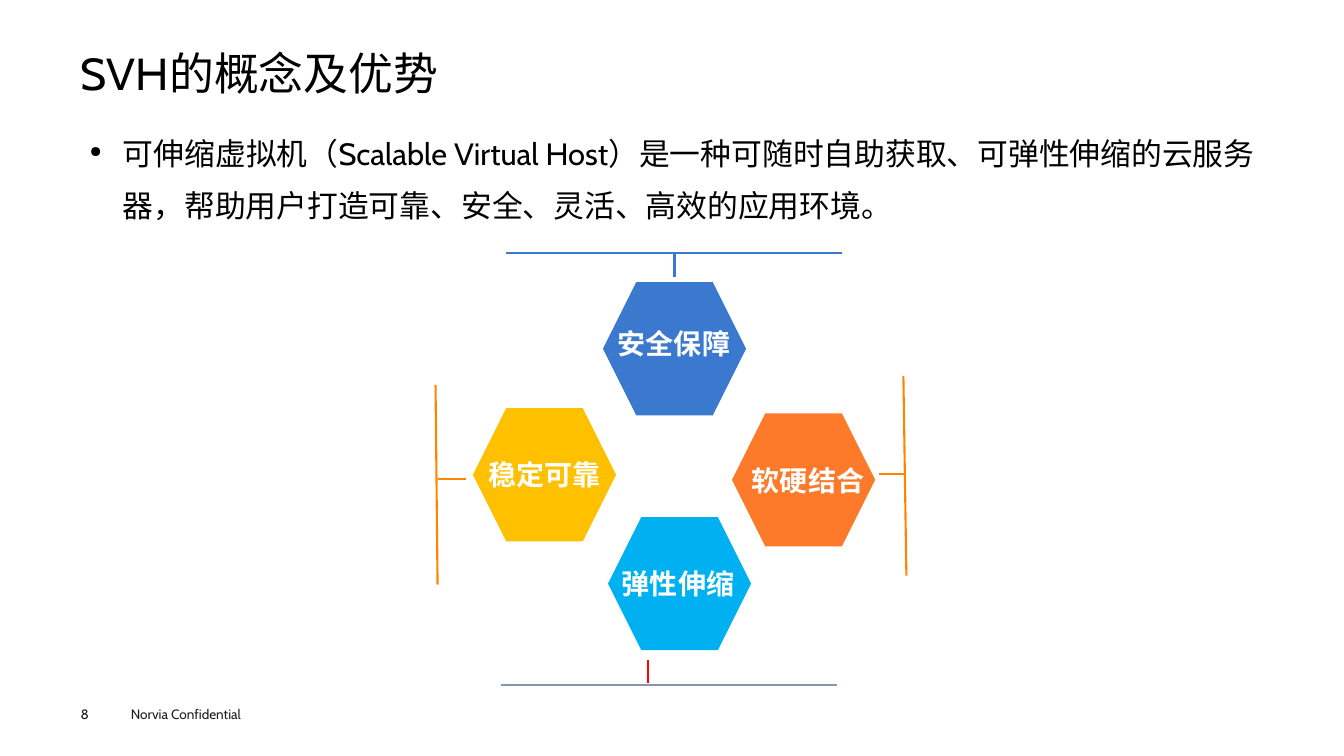
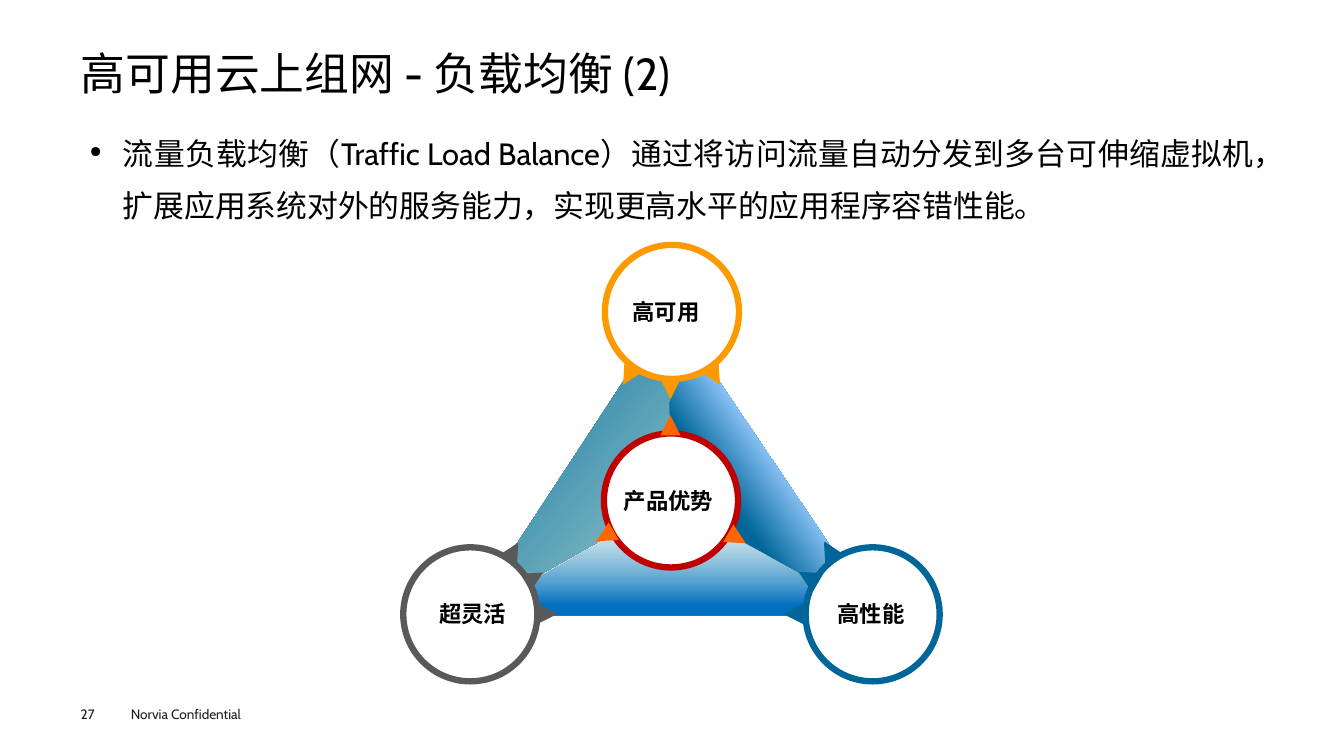
from lxml import etree
from pptx import Presentation
from pptx import util as u
from pptx.dml import color
from pptx.enum import shapes, text
from pptx.oxml import ns

PX = 9144  # 100 px to the inch
FONT = "Cabin"
BLACK, WHITE, INK = "000000", "FFFFFF", "1D1D1B"
BLUE, ORANGE, AMBER, GREY, TEAL = "3C78CE", "FF8500", "FF9900", "595959", "006699"
LEFT, MIDDLE = text.PP_ALIGN.LEFT, text.MSO_ANCHOR.MIDDLE
AUTO = shapes.MSO_SHAPE

deck = Presentation()
deck.slide_width, deck.slide_height = 1333 * PX, 750 * PX


def rgb(code):
    return color.RGBColor.from_string(code)


def write(box, string, size, ink=BLACK, bold=False, align=LEFT, anchor=text.MSO_ANCHOR.TOP,
          insets=(10, 5), spacing=None, bullet=False):
    """Fill a box with one formatted paragraph; insets are horizontal and vertical px."""
    frame = box.text_frame
    frame.word_wrap = True
    frame.auto_size = text.MSO_AUTO_SIZE.NONE
    frame.vertical_anchor = anchor
    frame.margin_left = frame.margin_right = insets[0] * PX
    frame.margin_top = frame.margin_bottom = insets[1] * PX
    para = frame.paragraphs[0]
    para.alignment = align
    if spacing:
        para.line_spacing = spacing
    if bullet:
        props = para._p.get_or_add_pPr()
        props.set("marL", str(33 * PX))
        props.set("indent", str(-33 * PX))
        etree.SubElement(props, ns.qn("a:buSzPct")).set("val", "50000")
        etree.SubElement(props, ns.qn("a:buChar")).set("char", "●")
    span = para.add_run()
    span.text = string
    span.font.name, span.font.size, span.font.bold = FONT, u.Pt(size), bold
    span.font.color.rgb = rgb(ink)


def paint(shape, fill=None, line=None, width=1):
    shape.shadow.inherit = False
    if fill:
        shape.fill.solid()
        shape.fill.fore_color.rgb = rgb(fill)
    if line:
        shape.line.color.rgb = rgb(line)
        shape.line.width = u.Pt(width)
    else:
        shape.line.fill.background()


# Frame shared by both slides
pages = []
for number, title, body in [
    ("8", "SVH的概念及优势",
     "可伸缩虚拟机（Scalable Virtual Host）是一种可随时自助获取、可弹性伸缩的云服务器，"
     "帮助用户打造可靠、安全、灵活、高效的应用环境。"),
    ("27", "高可用云上组网 - 负载均衡 (2)",
     "流量负载均衡（Traffic Load Balance）通过将访问流量自动分发到多台可伸缩虚拟机，"
     "扩展应用系统对外的服务能力，实现更高水平的应用程序容错性能。"),
]:
    page = deck.slides.add_slide(deck.slide_layouts[5])
    pages.append(page)
    heading = page.shapes.title
    heading.left, heading.top, heading.width, heading.height = (
        n * PX for n in (80, 49, 1173, 53))
    write(heading, title, 32, anchor=MIDDLE, insets=(0, 0), spacing=0.9)
    for place, string, style in [
        ((80, 115, 1173, 534), body, dict(size=22, align=text.PP_ALIGN.JUSTIFY,
                                          insets=(9, 4), spacing=1.4, bullet=True)),
        ((120, 695, 160, 27), "Norvia Confidential", dict(size=9.7, ink=INK)),
        ((80, 700, 55, 16), number, dict(size=9.7, ink=INK, insets=(0, 0))),
    ]:
        write(page.shapes.add_textbox(*(n * PX for n in place)), string, **style)

host, balance = pages

# Four hexagons with their labels
for x, y, fill, label, label_x, label_y, label_width in [
    (598, 280, "3B79CE", "安全保障", 586, 319, 165),
    (603, 513, "00B0F0", "弹性伸缩", 598, 557, 149),
    (469, 405, "FFC000", "稳定可靠", 466, 449, 149),
    (726, 410, "FD7A2A", "软硬结合", 718, 455, 167),
]:
    hexagon = host.shapes.add_shape(AUTO.HEXAGON, x * PX, y * PX, 142 * PX, 132 * PX)
    paint(hexagon, fill)
    box = host.shapes.add_textbox(label_x * PX, label_y * PX, label_width * PX, 44 * PX)
    write(box, label, 20, WHITE, bold=True, align=text.PP_ALIGN.CENTER)

# Brackets around the hexagons
for ends, ink in [
    ((669, 275, 669, 252), BLUE),
    ((502, 251, 835, 251), BLUE),
    ((899, 470, 872, 470), ORANGE),
    ((899, 571, 896, 373), ORANGE),
    ((462, 475, 434, 475), ORANGE),
    ((434, 580, 432, 382), ORANGE),
    ((497, 680, 830, 680), "8497B0"),
    ((643, 678, 643, 655), "FF0000"),
]:
    line = host.shapes.add_connector(shapes.MSO_CONNECTOR.STRAIGHT, *(n * PX for n in ends))
    line.line.color.rgb = rgb(ink)
    line.line.width = u.Pt(1.5)
    etree.SubElement(line._element.spPr, ns.qn("a:effectLst"))

# Three gradient panels that make up the large triangle
for corners, stops, angle, clear_start in [
    ([(665, 307), (467, 609), (663, 498)], [(0, TEAL), (1, "99CCCC")], 40, False),
    ([(666, 308), (869, 609), (663, 498)], [(0.33, TEAL), (0.53, "99CCFF")], 325, False),
    ([(467, 611), (869, 611), (665, 498)], [(0, "99CCCC"), (0.91, "0070C0")], 90, True),
]:
    builder = balance.shapes.build_freeform(*corners[0], scale=PX)
    builder.add_line_segments(corners[1:], close=True)
    panel = builder.convert_to_shape()
    paint(panel)
    panel.fill.gradient()
    panel.fill.gradient_angle = 360 - angle
    for stop, (position, code) in zip(panel.fill.gradient_stops, stops):
        stop.position = position
        stop.color.rgb = rgb(code)
    if clear_start:
        first = panel._element.xpath(".//a:gs/a:srgbClr")[0]
        etree.SubElement(first, ns.qn("a:alpha")).set("val", "0")

for x, y, ring in [(600, 243, AMBER), (599, 430, "C00000"), (400, 543, GREY), (799, 543, TEAL)]:
    circle = balance.shapes.add_shape(AUTO.OVAL, x * PX, y * PX, 133 * PX, 133 * PX)
    paint(circle, WHITE, ring, 4.5)

# Small arrowheads on the circles: left, top, rotation
for fill, edge, heads in [
    (GREY, None, [(520, 563, 60), (533, 599, 90), (499, 537, 30)]),
    ("FF6600", None, [(655, 412, 0), (590, 522, 240), (721, 524, 120)]),
    (AMBER, None, [(655, 376, 180), (699, 363, 150), (613, 363, 210)]),
    (TEAL, TEAL, [(813, 537, 330), (792, 563, 300), (778, 599, 270)]),
]:
    for x, y, turn in heads:
        head = balance.shapes.add_shape(AUTO.ISOSCELES_TRIANGLE, x * PX, y * PX, 20 * PX, 20 * PX)
        head.rotation = turn
        paint(head, fill, edge)

for x, y, label in [(593, 291, "高可用 "), (399, 590, "超灵活"),
                    (794, 590, "高性能"), (593, 478, "产品优势")]:
    box = balance.shapes.add_textbox(x * PX, y * PX, 140 * PX, 37 * PX)
    write(box, label, 16, bold=True, align=text.PP_ALIGN.CENTER, anchor=MIDDLE)

deck.save("out.pptx")
